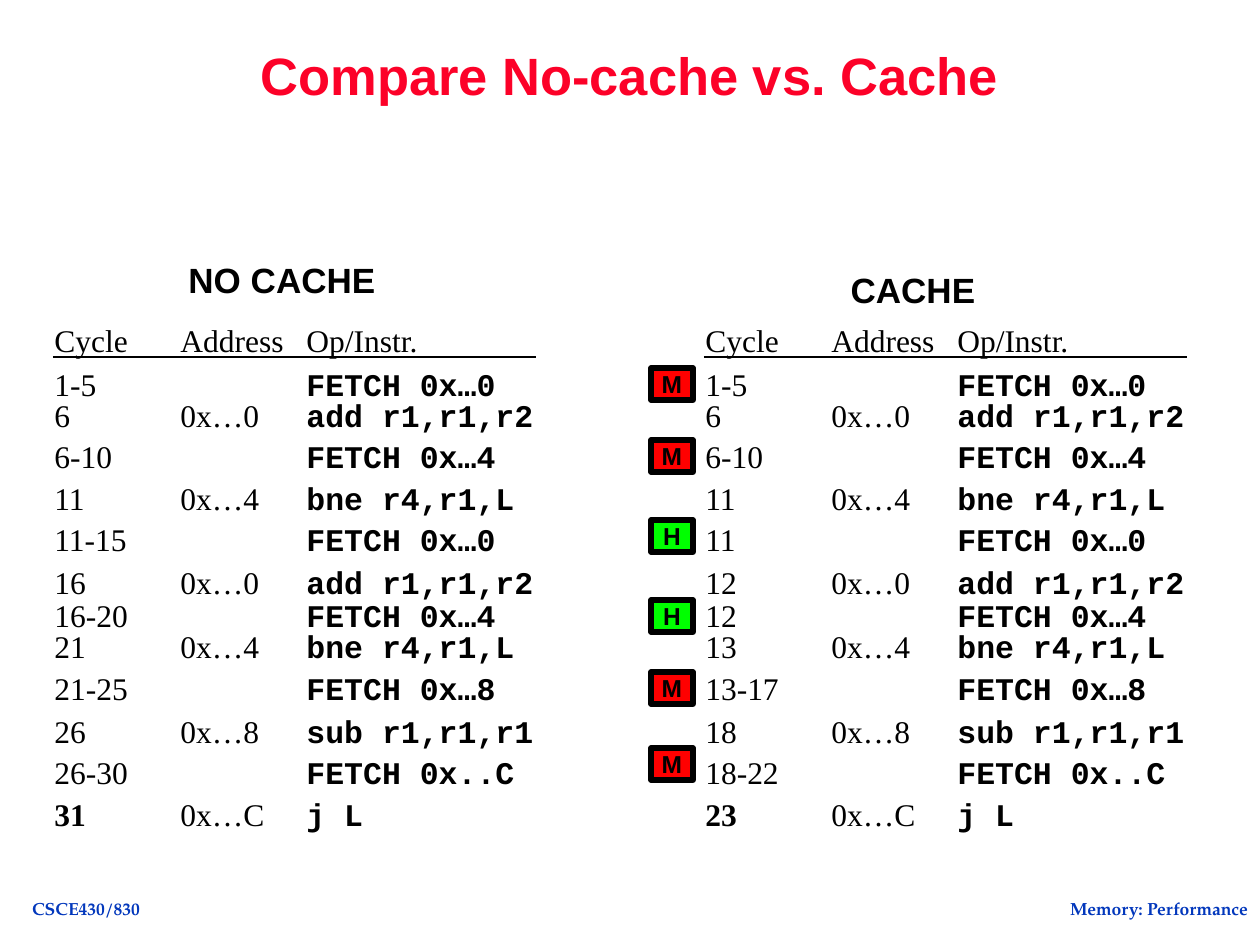
from dataclasses import dataclass

from lxml import etree
from pptx import Presentation
from pptx.dml.color import RGBColor
from pptx.enum import shapes, text
from pptx.oxml import ns
from pptx.util import Pt

PX = 7257.14  # EMU in one px, at 126 px to the inch


@dataclass(frozen=True)
class Theme:
    black: str = "000000"
    title: str = "FC0128"
    footer: str = "0237BC"
    miss: str = "FF0000"
    hit: str = "00FF00"
    sans: str = "Arial"
    serif: str = "Times New Roman"
    mono: str = "Courier New"
    footer_font: str = "TeX Gyre Pagella"
    title_size: int = 30
    heading_size: int = 20
    row_size: int = 18
    badge_size: int = 14
    footer_size: int = 10


T = Theme()

# Trace rows: top below the region, address, operation
PROGRAM = [
    (107, "", "FETCH 0x…0"),
    (138, "0x…0", "add r1,r1,r2"),
    (179, "", "FETCH 0x…4"),
    (221, "0x…4", "bne r4,r1,L"),
    (262, "", "FETCH 0x…0"),
    (305, "0x…0", "add r1,r1,r2"),
    (338, "", "FETCH 0x…4"),
    (369, "0x…4", "bne r4,r1,L"),
    (411, "", "FETCH 0x…8"),
    (454, "0x…8", "sub r1,r1,r1"),
    (495, "", "FETCH 0x..C"),
    (537, "0x…C", "j L"),
]
NO_CACHE_CYCLES = ["1-5", "6", "6-10", "11", "11-15", "16",
                   "16-20", "21", "21-25", "26", "26-30", "31"]
CACHE_CYCLES = ["1-5", "6", "6-10", "11", "11", "12",
                "12", "13", "13-17", "18", "18-22", "23"]
BADGES = [(116, "M"), (188, "M"), (268, "H"),
          (348, "H"), (420, "M"), (496, "M")]


def px(*lengths):
    return [round(length * PX) for length in lengths]


def write(shape, runs, wrap=True, align=None, spacing=None, tabs=(),
          fit=text.MSO_AUTO_SIZE.SHAPE_TO_FIT_TEXT,
          anchor=text.MSO_ANCHOR.MIDDLE):
    """Fill a shape with one paragraph of (words, font values) runs."""
    frame = shape.text_frame
    frame.word_wrap = wrap
    frame.auto_size = fit
    frame.vertical_anchor = anchor
    line = frame.paragraphs[0]
    line.alignment = align
    line.line_spacing = spacing
    if tabs:
        tab_list = etree.SubElement(line._p.get_or_add_pPr(),
                                    ns.qn("a:tabLst"))
        for stop in px(*tabs):
            etree.SubElement(tab_list, ns.qn("a:tab"),
                             pos=str(stop), algn="l")
    for words, values in runs:
        run = line.add_run()
        run.text = words
        for key, value in values.items():
            if key == "color":
                run.font.color.rgb = RGBColor.from_string(value)
            else:
                setattr(run.font, key, value)


def style(name, size, color=T.black, bold=True):
    return {"name": name, "size": Pt(size), "bold": bold, "color": color}


def label(slide, box, words, values, **layout):
    write(slide.shapes.add_textbox(*px(*box)), [(words, values)],
          align=text.PP_ALIGN.CENTER, **layout)


def trace_row(slide, box, runs):
    write(slide.shapes.add_textbox(*px(*box)), runs, tabs=(126, 252, 378))


def trace(slide, box, heading, heading_box, cycles):
    """Heading, column titles with a rule, and one text line per step."""
    left, top, width, _ = box
    plain = style(T.serif, T.row_size, bold=False)
    code = style(T.mono, T.row_size)

    # Column titles
    trace_row(slide, (left, top + 63, width, 50),
              [("Cycle\tAddress\tOp/Instr.", plain)])
    rule = slide.shapes.add_connector(
        shapes.MSO_CONNECTOR.STRAIGHT,
        *px(left + 11, top + 105, left + 494, top + 105))
    rule.line.width = Pt(1)
    rule.line.color.rgb = RGBColor.from_string(T.black)
    etree.SubElement(rule._element.spPr, ns.qn("a:effectLst"))

    # Steps; the final cycle count is bold
    last = len(cycles) - 1
    for index, (cycle, step) in enumerate(zip(cycles, PROGRAM)):
        offset, address, operation = step
        count = {**plain, "bold": index == last}
        trace_row(slide, (left, top + offset, width, 50),
                  [(f"{cycle}\t", count), (f"{address}\t", plain),
                   (operation, code)])

    # Heading
    x, y, w, h = heading_box
    label(slide, (left + x, top + y, w, h), heading,
          style(T.sans, T.heading_size), wrap=False)


def badges(slide, box):
    """Miss and hit marks down the side of the cached trace."""
    left, top, width, _ = box
    for offset, mark in BADGES:
        badge = slide.shapes.add_shape(shapes.MSO_SHAPE.RECTANGLE,
                                       *px(left, top + offset, width, 32))
        badge.shadow.inherit = False
        badge.fill.solid()
        badge.fill.fore_color.rgb = RGBColor.from_string(
            T.hit if mark == "H" else T.miss)
        badge.line.width = Pt(3)
        badge.line.color.rgb = RGBColor.from_string(T.black)
        write(badge, [(mark, style(T.sans, T.badge_size))], wrap=False,
              align=text.PP_ALIGN.CENTER, fit=text.MSO_AUTO_SIZE.NONE)


def footer(slide, box, course_width, topic_width):
    left, top, width, height = box
    values = style(T.footer_font, T.footer_size, T.footer)
    for words, x, w in (
            ("Memory: Performance", left + width - topic_width, topic_width),
            ("CSCE430/830", left, course_width)):
        label(slide, (x, top, w, height), words, values, wrap=False,
              anchor=text.MSO_ANCHOR.TOP)


def main():
    deck = Presentation()
    deck.slide_width, deck.slide_height = px(1260, 945)
    slide = deck.slides.add_slide(deck.slide_layouts[6])

    footer(slide, (19, 892, 1252, 33), 134, 224)
    label(slide, (136, 0, 987, 157), "Compare No-cache vs. Cache",
          style(T.sans, T.title_size, T.title), spacing=0.9,
          fit=text.MSO_AUTO_SIZE.NONE)
    trace(slide, (42, 252, 609, 587), "NO CACHE", (134, 0, 212, 55),
          NO_CACHE_CYCLES)
    trace(slide, (693, 252, 567, 587), "CACHE", (145, 10, 150, 55),
          CACHE_CYCLES)
    badges(slide, (651, 252, 42, 587))
    deck.save("out.pptx")


if __name__ == "__main__":
    main()
